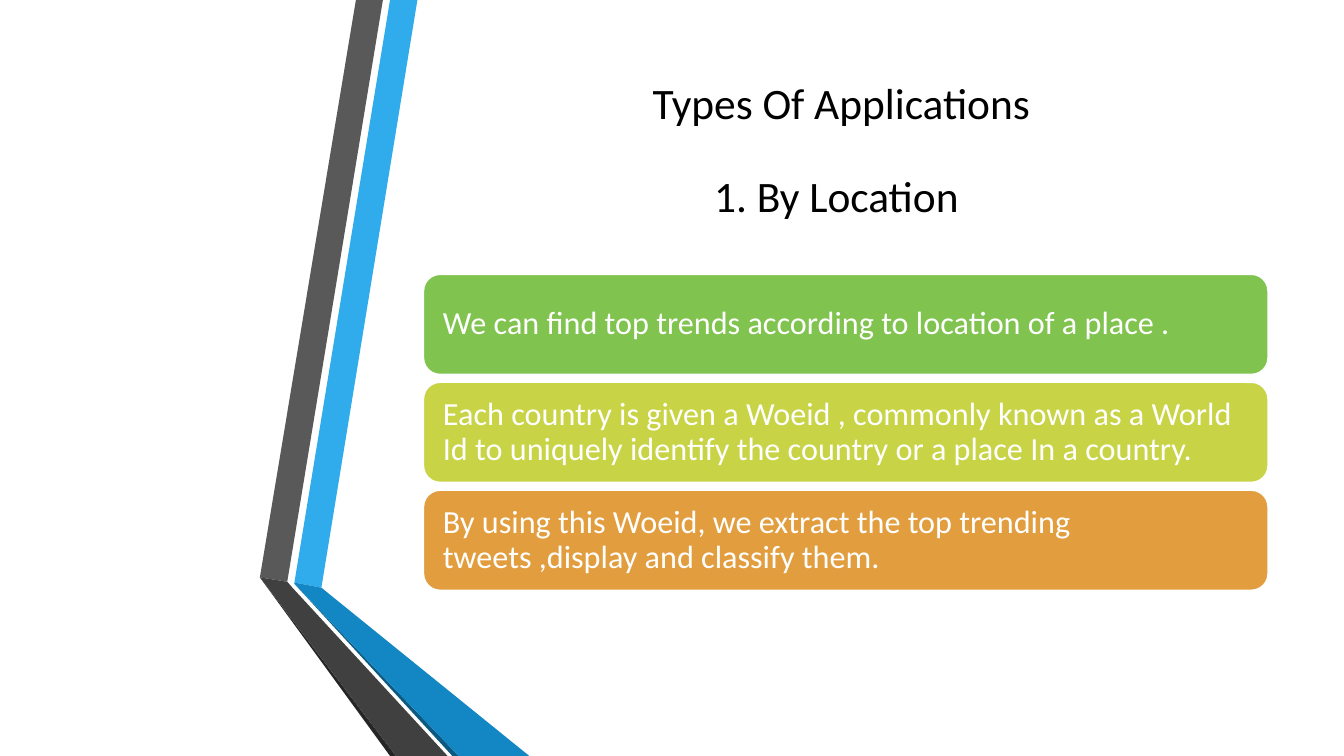
from pptx import Presentation
from pptx import util as u
from pptx.dml.color import RGBColor
from pptx.enum import shapes, text

COLORS = {
    "white": "FFFFFF", "black": "000000",
    "blue": "30ACEC", "blue_low": "1287C3", "blue_edge": "0C5A82",
    "grey": "595959", "grey_low": "404040", "grey_edge": "262626",
    "green": "80C34F", "lime": "C8D346", "orange": "E29D3E",
}


def paint(shape, color):
    shape.shadow.inherit = False
    shape.fill.solid()
    shape.fill.fore_color.rgb = RGBColor.from_string(COLORS[color])


def write(para, words, size, color, align):
    para.alignment = align
    para.line_spacing = 0.9
    span = para.add_run()
    span.text = words
    for name, value in {"name": "Calibri", "size": u.Pt(size)}.items():
        setattr(span.font, name, value)
    span.font.color.rgb = RGBColor.from_string(COLORS[color])


deck = Presentation()
deck.slide_width, deck.slide_height = u.Cm(33.87), u.Cm(19.05)
page = deck.slides.add_slide(deck.slide_layouts[5])

# Folded ribbons on the left, points in cm
ribbons = [
    ("blue", [(7.42, 14.68), (8.1, 14.81), (10.52, 0), (9.83, 0)]),
    ("grey", [(9.65, 0), (8.97, 0), (6.55, 14.55), (7.24, 14.66)]),
    ("grey_edge", [(6.55, 14.55), (9.83, 19.05), (9.98, 19.05)]),
    ("blue_edge", [(7.42, 14.71), (11.4, 19.05), (11.56, 19.05)]),
    ("blue_low", [(7.42, 14.71), (11.56, 19.05), (13.34, 19.05),
                  (8.1, 14.81), (7.42, 14.68)]),
    ("grey_low", [(11.28, 19.05), (7.37, 14.81), (7.24, 14.66),
                  (6.55, 14.55), (9.98, 19.05)]),
]
for color, points in ribbons:
    corners = [(u.Cm(x), u.Cm(y)) for x, y in points]
    outline = page.shapes.build_freeform(*corners[0])
    outline.add_line_segments(corners[1:], close=True)
    ribbon = outline.convert_to_shape()
    paint(ribbon, color)
    ribbon.line.fill.background()

# Title
title = page.shapes.title
title_place = {"left": 11, "top": 1.9, "width": 20.4, "height": 3.87}
for name, value in title_place.items():
    setattr(title, name, u.Cm(value))
frame = title.text_frame
frame.word_wrap = True
frame.auto_size = text.MSO_AUTO_SIZE.NONE
frame.vertical_anchor = text.MSO_ANCHOR.MIDDLE
center = text.PP_ALIGN.CENTER
write(frame.paragraphs[0], "Types Of Applications", 31, "black", center)
subtitle = frame.add_paragraph()
subtitle.space_before = u.Pt(33)
write(subtitle, "1. By Location ", 31, "black", center)

# Stacked statement boxes
statements = [
    ("green", "We can find top trends according to location of a place ."),
    ("lime", "Each country is given a Woeid , commonly known as a World Id "
             "to uniquely identify the country or a place In a country."),
    ("orange", "By using this Woeid, we extract the top trending "
               "tweets ,display and classify them."),
]
box_format = {
    "word_wrap": True, "vertical_anchor": text.MSO_ANCHOR.MIDDLE,
    "margin_left": u.Cm(0.37), "margin_right": u.Cm(0.37),
    "margin_top": u.Cm(0.25), "margin_bottom": u.Cm(0.25),
}
for row, (color, words) in enumerate(statements):
    box = page.shapes.add_shape(
        shapes.MSO_SHAPE.ROUNDED_RECTANGLE,
        u.Cm(10.67), u.Cm(6.91 + 2.72 * row), u.Cm(21.29), u.Cm(2.53))
    paint(box, color)
    box.line.color.rgb = RGBColor.from_string(COLORS["white"])
    box.line.width = u.Pt(1.25)
    for name, value in box_format.items():
        setattr(box.text_frame, name, value)
    write(box.text_frame.paragraphs[0], words, 23, "white", text.PP_ALIGN.LEFT)

deck.save("out.pptx")
